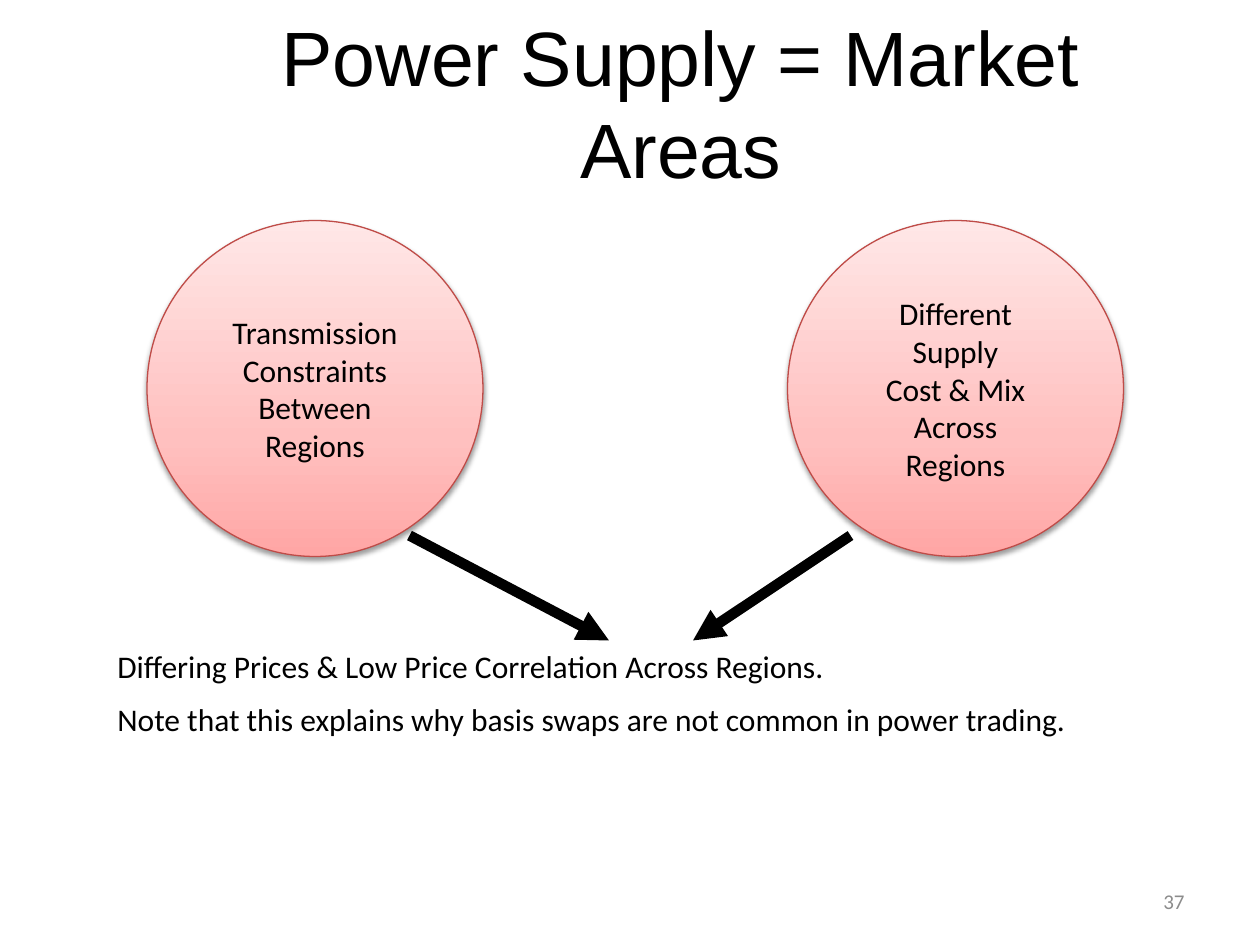
from lxml.etree import SubElement
from pptx import Presentation
from pptx.dml.color import RGBColor
from pptx.enum.shapes import MSO_CONNECTOR, MSO_SHAPE
from pptx.enum.text import MSO_ANCHOR, PP_ALIGN
from pptx.oxml.ns import qn
from pptx.util import Inches, Pt


def color(hex_code):
    return RGBColor.from_string(hex_code)


def add_xml(parent, tag, **attributes):
    return SubElement(parent, qn(tag), {k: str(v) for k, v in attributes.items()})


class SlideBuilder:
    """Style and current slide; lengths are cells of a 12 x 9 square grid."""
    CELL = Inches(10) / 12
    INK, MUTED, RIM = "000000", "8C8C8C", "BF4C48"
    PINKS = [(0, "FFA6A5"), (35, "FFC0BF"), (100, "FFE7E7")]

    def __init__(self, slide):
        self.slide = slide

    def cells(self, *lengths):
        return [round(length * self.CELL) for length in lengths]

    def set_lines(self, frame, lines, size=18, font="Calibri", ink=INK,
                  align=PP_ALIGN.LEFT, gap=0):
        for i, line in enumerate(lines):
            paragraph = frame.add_paragraph() if i else frame.paragraphs[0]
            paragraph.text = line
            paragraph.alignment = align
            if i and gap:
                paragraph.space_before = Pt(gap)
            paragraph.font.size = Pt(size)
            paragraph.font.name = font
            paragraph.font.color.rgb = color(ink)

    def text(self, place, lines, anchor=MSO_ANCHOR.MIDDLE, **style):
        frame = self.slide.shapes.add_textbox(*self.cells(*place)).text_frame
        frame.word_wrap = True
        frame.vertical_anchor = anchor
        self.set_lines(frame, lines, **style)

    def circle(self, left, top, diameter, lines):
        circle = self.slide.shapes.add_shape(
            MSO_SHAPE.OVAL, *self.cells(left, top, diameter, diameter))
        circle.line.color.rgb = color(self.RIM)
        circle.line.width = Pt(0.75)

        # Three-stop gradient, running from bottom to top
        circle.fill.gradient()
        gradient = circle.element.spPr.find(qn("a:gradFill"))
        for child in list(gradient):
            gradient.remove(child)
        stops = add_xml(gradient, "a:gsLst")
        for percent, pink in self.PINKS:
            stop = add_xml(stops, "a:gs", pos=percent * 1000)
            add_xml(stop, "a:srgbClr", val=pink)
        add_xml(gradient, "a:lin", ang=270 * 60000, scaled=0)

        # Soft shadow below
        circle.shadow.inherit = False
        effects = circle.element.spPr.find(qn("a:effectLst"))
        shadow = add_xml(effects, "a:outerShdw", blurRad=int(Pt(3.1)),
                         dist=int(Pt(1.6)), dir=90 * 60000, rotWithShape=0)
        add_xml(add_xml(shadow, "a:srgbClr", val=self.INK), "a:alpha", val=38000)

        frame = circle.text_frame
        frame.word_wrap = False
        frame.vertical_anchor = MSO_ANCHOR.MIDDLE
        self.set_lines(frame, lines, align=PP_ALIGN.CENTER)

    def arrow(self, start, end):
        arrow = self.slide.shapes.add_connector(
            MSO_CONNECTOR.STRAIGHT, *self.cells(*start, *end))
        arrow.line.color.rgb = color(self.INK)
        arrow.line.width = Pt(6)
        properties = arrow.element.spPr
        add_xml(properties.find(qn("a:ln")), "a:tailEnd", type="triangle")
        add_xml(properties, "a:effectLst")


def main():
    deck = Presentation()
    deck.slide_width, deck.slide_height = Inches(10), Inches(7.5)
    page = SlideBuilder(deck.slides.add_slide(deck.slide_layouts[6]))

    # Title and page number
    page.text((1.57, 0.35, 9.83, 1.24), ["Power Supply = Market Areas"],
              size=44, font="Arial", align=PP_ALIGN.CENTER)
    page.text((8.6, 8.34, 2.8, 0.48), ["37"], size=12, ink=page.MUTED,
              align=PP_ALIGN.RIGHT)

    # Conclusion
    page.text((1, 6.1, 10.3, 1.8), [
        "Differing Prices & Low Price Correlation Across Regions.",
        "Note that this explains why basis swaps are not common in power trading.",
    ], anchor=MSO_ANCHOR.TOP, gap=9)

    # Two causes
    causes = [
        (1.4, ["Transmission", "Constraints", "Between", "Regions"]),
        (7.5, ["Different", "Supply", "Cost & Mix", "Across", "Regions"]),
    ]
    for left, lines in causes:
        page.circle(left, 2.1, 3.2, lines)

    # Arrows from the causes to the conclusion
    for start, end in [(3.9, 5.8), (8.1, 6.6)]:
        page.arrow((start, 5.1), (end, 6.1))

    deck.save("out.pptx")


if __name__ == "__main__":
    main()
